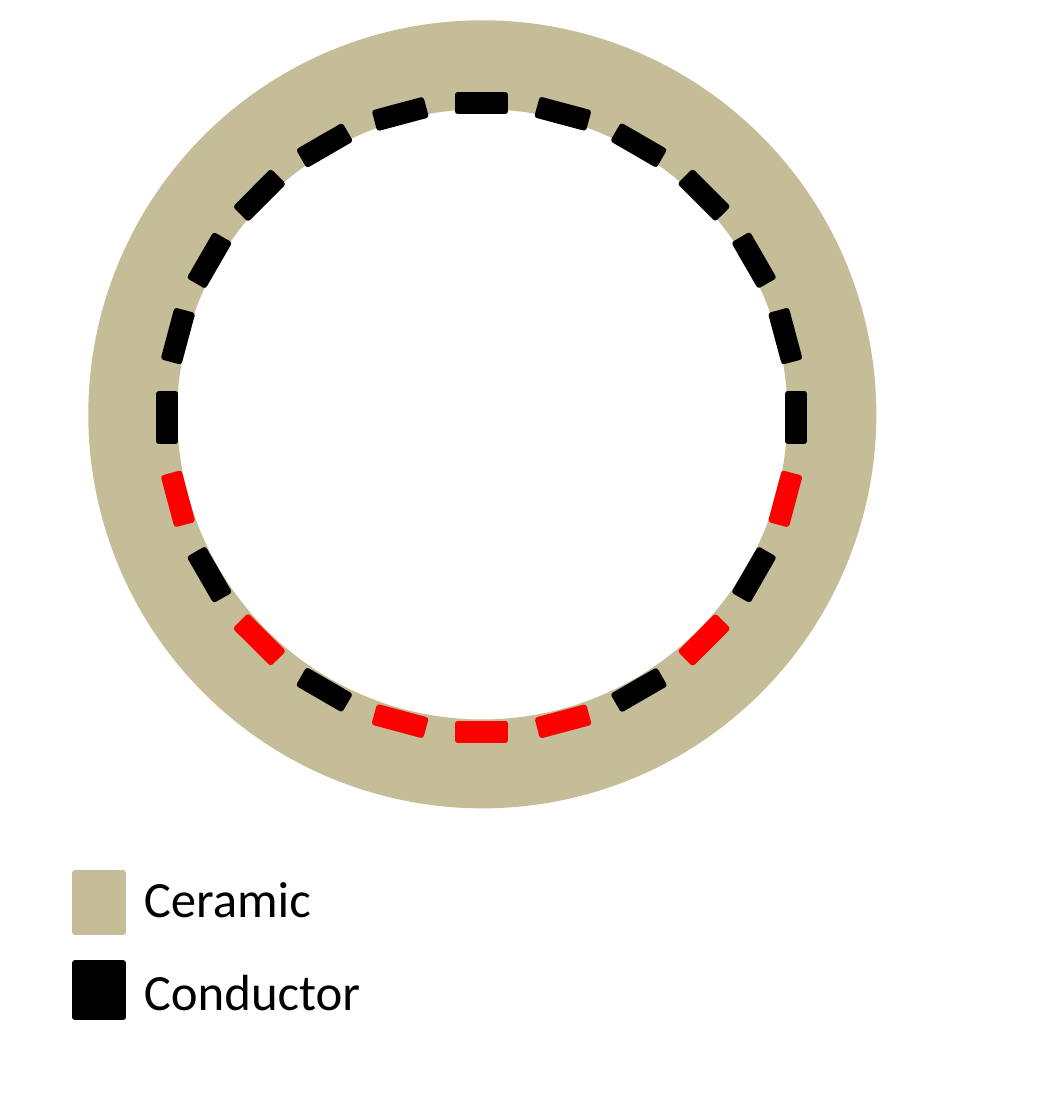
"""Build a slide with a ceramic ring lined by evenly spaced conductor tiles, and its legend."""
from math import cos, radians, sin

from pptx import Presentation
from pptx.dml.color import RGBColor
from pptx.enum.shapes import MSO_SHAPE
from pptx.enum.text import MSO_AUTO_SIZE
from pptx.util import Cm, Pt

CERAMIC = RGBColor(0xC4, 0xBD, 0x97)
BLACK = RGBColor(0x00, 0x00, 0x00)
RED = RGBColor(0xFF, 0x00, 0x00)

RING_CENTER = (6.03, 5.18)
RING_SIZE = (8.74, 8.74)
RING_LINE = 31.5

TILE_COUNT = 24
BOTTOM_TILE = TILE_COUNT // 2
RED_STEPS_FROM_BOTTOM = (0, 1, 3, 5)
TRACK_CENTER = (6.02, 5.22)
TRACK_RADIUS = 3.93
TILE_SIZE = (0.6, 0.2)
EDGE_LINE = 2

# label, color, swatch middle, swatch height, label middle, label width
LEGEND = [
    ("Ceramic", CERAMIC, 11.28, 0.74, 11.22, 2.62),
    ("Conductor", BLACK, 12.38, 0.68, 12.38, 3.25),
]
SWATCH_X = 1.24
SWATCH_WIDTH = 0.6
LABEL_LEFT = 1.55
LABEL_HEIGHT = 1.02


def add_centered(slide, kind, center, size, color, line_width):
    """Add an outlined preset shape around a center point."""
    left, top = (middle - length / 2 for middle, length in zip(center, size))
    width, height = size
    shape = slide.shapes.add_shape(kind, Cm(left), Cm(top), Cm(width), Cm(height))
    shape.shadow.inherit = False
    shape.line.color.rgb = color
    shape.line.width = Pt(line_width)
    return shape


def add_ring(slide):
    """Draw the ceramic ring as a circle with a thick line."""
    ring = add_centered(slide, MSO_SHAPE.OVAL, RING_CENTER, RING_SIZE, CERAMIC, RING_LINE)
    ring.fill.background()


def add_block(slide, center, size, color, rotation=0):
    """Add a filled rectangle around a center point."""
    block = add_centered(slide, MSO_SHAPE.RECTANGLE, center, size, color, EDGE_LINE)
    block.fill.solid()
    block.fill.fore_color.rgb = color
    block.rotation = rotation


def add_tiles(slide):
    """Space the tiles evenly clockwise from the top, each along the tangent."""
    center_x, center_y = TRACK_CENTER
    for index in range(TILE_COUNT):
        angle = index * 360 / TILE_COUNT
        x = center_x + TRACK_RADIUS * sin(radians(angle))
        y = center_y - TRACK_RADIUS * cos(radians(angle))
        is_red = abs(index - BOTTOM_TILE) in RED_STEPS_FROM_BOTTOM
        add_block(slide, (x, y), TILE_SIZE, RED if is_red else BLACK, angle % 180)


def add_label(slide, text, middle, width):
    """Add a legend label centered on a height."""
    box = slide.shapes.add_textbox(
        Cm(LABEL_LEFT), Cm(middle - LABEL_HEIGHT / 2), Cm(width), Cm(LABEL_HEIGHT))
    frame = box.text_frame
    frame.word_wrap = False
    frame.auto_size = MSO_AUTO_SIZE.SHAPE_TO_FIT_TEXT
    run = frame.paragraphs[0].add_run()
    run.text = text
    run.font.name = "Calibri"
    run.font.size = Pt(18)
    run.font.color.rgb = BLACK


def add_legend(slide):
    """Draw a swatch and a label for each material."""
    for text, color, swatch_y, height, label_y, label_width in LEGEND:
        add_block(slide, (SWATCH_X, swatch_y), (SWATCH_WIDTH, height), color)
        add_label(slide, text, label_y, label_width)


def main():
    """Draw the ring, its tiles and the legend."""
    presentation = Presentation()
    presentation.slide_width = Cm(13)
    presentation.slide_height = Cm(14)
    slide = presentation.slides.add_slide(presentation.slide_layouts[6])
    add_ring(slide)
    add_tiles(slide)
    add_legend(slide)
    presentation.save("out.pptx")


if __name__ == "__main__":
    main()
